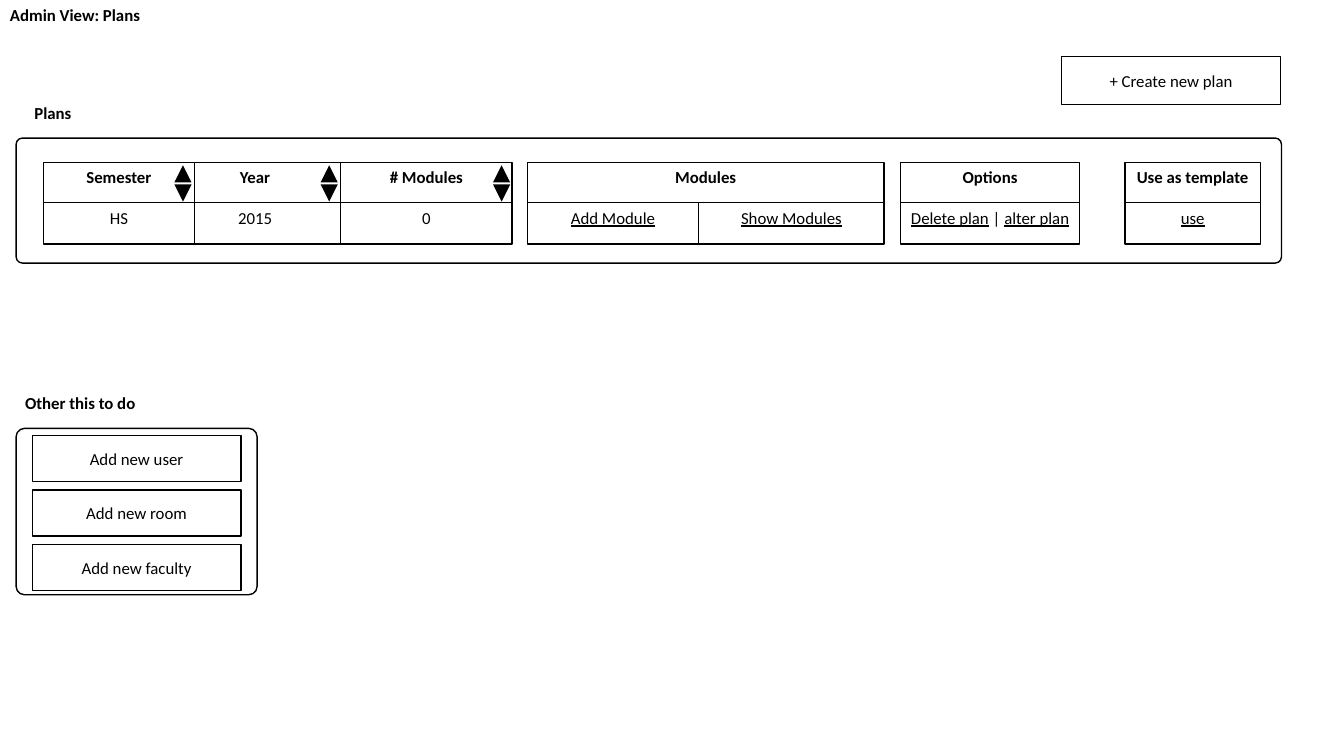
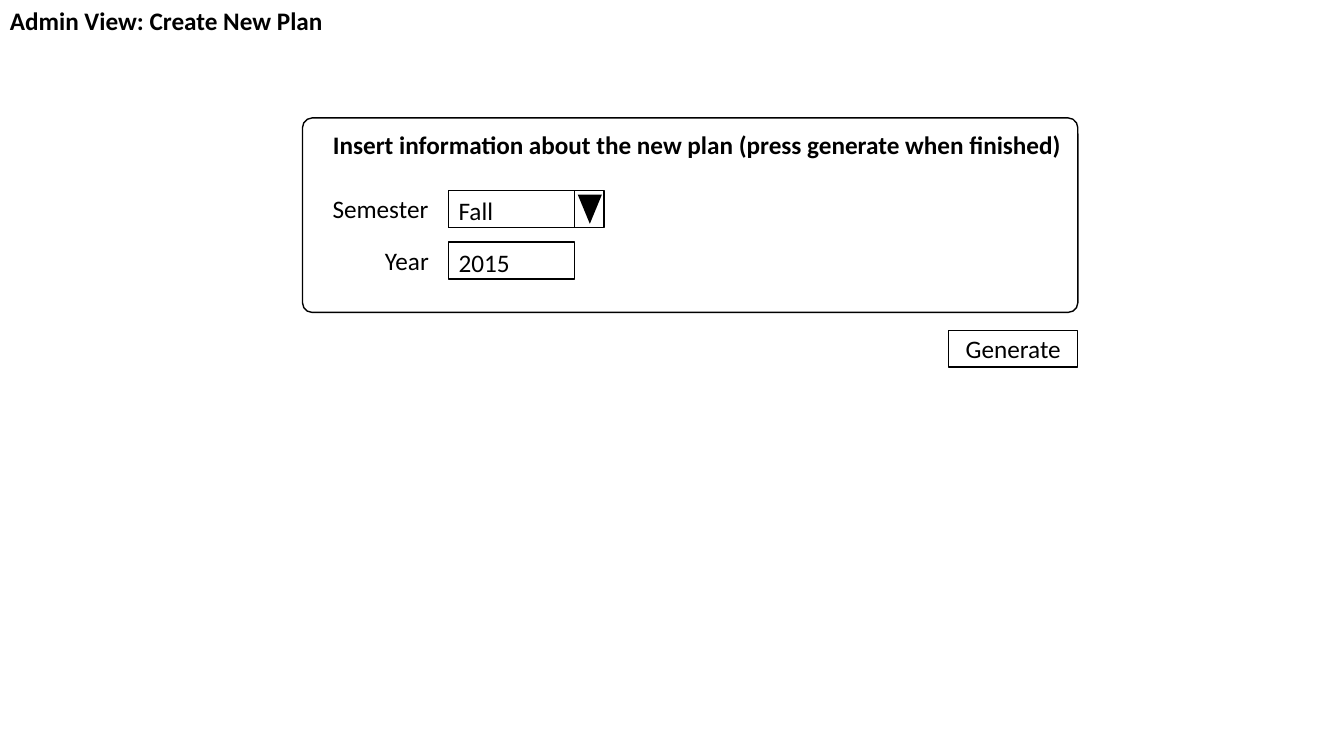
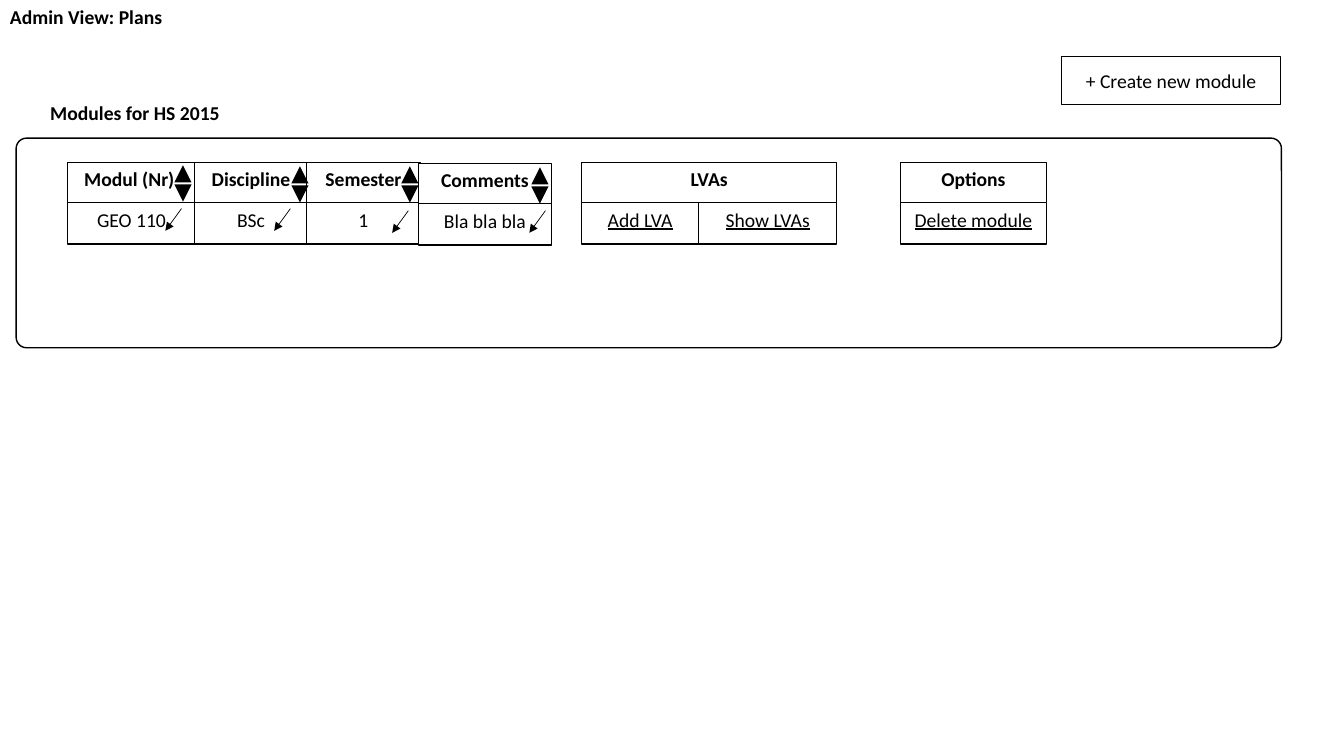
"""Builds three wireframe slides of an admin view for study plans."""
from lxml import etree
from pptx import Presentation
from pptx import util as u
from pptx.dml.color import RGBColor
from pptx.enum import shapes, text
from pptx.oxml import ns

COLOURS = {"ink": "000000", "paper": "FFFFFF"}
FONT = "Calibri"
LEFT, CENTRE = text.PP_ALIGN.LEFT, text.PP_ALIGN.CENTER
TOP, MIDDLE = text.MSO_ANCHOR.TOP, text.MSO_ANCHOR.MIDDLE
KIND = shapes.MSO_SHAPE
HEADER_TOP, CELL_TOP, HEADER_HEIGHT, CELL_HEIGHT = 1.61, 2.01, 0.4, 0.41
BOLD, LINK = {"bold": True}, {"underline": True}


class Wireframe:
    def __init__(self):
        self.presentation = Presentation()
        self.presentation.slide_width = u.Inches(13.33)
        self.presentation.slide_height = u.Inches(7.5)
        self.slide = None
        self.size = 12

    def new_slide(self, title, size, width, height):
        self.slide = self.presentation.slides.add_slide(self.presentation.slide_layouts[6])
        self.size = size
        self.label(title, 0, 0, width, height, **BOLD)

    def colour(self, name):
        return RGBColor.from_string(COLOURS[name])

    def set_text(self, shape, runs, align=CENTRE, anchor=TOP, wrap=True, **formats):
        frame = shape.text_frame
        frame.word_wrap = wrap
        frame.vertical_anchor = anchor
        paragraph = frame.paragraphs[0]
        paragraph.alignment = align
        if isinstance(runs, str):
            runs = [(runs, formats)]
        for words, run_formats in runs:
            run = paragraph.add_run()
            run.text = words
            run.font.color.rgb = self.colour("ink")
            values = {"name": FONT, "size": u.Pt(self.size), **run_formats}
            for key, value in values.items():
                setattr(run.font, key, value)

    def shape(self, kind, left, top, width, height, fill=None, outline=True, parent=None):
        shape = (parent or self.slide).shapes.add_shape(
            kind, u.Inches(left), u.Inches(top), u.Inches(width), u.Inches(height))
        shape.shadow.inherit = False
        if fill:
            shape.fill.solid()
            shape.fill.fore_color.rgb = self.colour(fill)
        else:
            shape.fill.background()
        if outline:
            shape.line.color.rgb = self.colour("ink")
            shape.line.width = u.Pt(1)
        else:
            shape.line.fill.background()
        return shape

    def label(self, words, left, top, width, height, align=LEFT, wrap=False, **formats):
        box = self.slide.shapes.add_textbox(
            u.Inches(left), u.Inches(top), u.Inches(width), u.Inches(height))
        self.set_text(box, words, align, wrap=wrap, **formats)
        box.text_frame.auto_size = text.MSO_AUTO_SIZE.SHAPE_TO_FIT_TEXT

    def panel(self, left, top, width, height):
        panel = self.shape(KIND.ROUNDED_RECTANGLE, left, top, width, height)
        panel.adjustments[0] = 0.05

    def button(self, words, left, top, width, height):
        button = self.shape(KIND.RECTANGLE, left, top, width, height)
        self.set_text(button, words, anchor=MIDDLE)

    def field(self, words, left, top, width, height, align=CENTRE, parent=None, **formats):
        field = self.shape(KIND.RECTANGLE, left, top, width, height, "paper", parent=parent)
        self.set_text(field, words, align, **formats)

    def column(self, header, left, cells, top=HEADER_TOP, **formats):
        width = sum(cell_width for _, cell_width in cells)
        self.field(header, left, top, width, HEADER_HEIGHT, **BOLD)
        for words, cell_width in cells:
            self.field(words, left, top + CELL_TOP - HEADER_TOP, cell_width, CELL_HEIGHT,
                       **formats)
            left += cell_width

    def triangle(self, left, top, width, height, rotation, parent):
        triangle = self.shape(KIND.ISOSCELES_TRIANGLE, left, top, width, height, "ink",
                              False, parent)
        triangle.rotation = rotation

    def sorter(self, left, top):
        group = self.slide.shapes.add_group_shape()
        for offset, rotation in ((0, 0), (0.19, 180)):
            self.triangle(left, top + offset, 0.17, 0.17, rotation, group)

    def dropdown(self, words, left, top, width, height):
        group = self.slide.shapes.add_group_shape()
        self.triangle(left + width + 0.03, top + 0.04, 0.24, 0.29, 180, group)
        self.field(words, left, top, width, height, LEFT, group)
        self.shape(KIND.RECTANGLE, left, top, width + 0.29, height, parent=group)

    def edit_arrow(self, left, top):
        arrow = self.slide.shapes.add_connector(
            shapes.MSO_CONNECTOR.STRAIGHT, u.Inches(left), u.Inches(top),
            u.Inches(left - 0.16), u.Inches(top + 0.22))
        arrow.line.color.rgb = self.colour("ink")
        arrow.line.width = u.Pt(0.5)
        properties = arrow._element.spPr
        line = properties.find(ns.qn("a:ln"))
        etree.SubElement(line, ns.qn("a:tailEnd"), type="triangle")
        etree.SubElement(properties, ns.qn("a:effectLst"))


def plans(view):
    view.new_slide("Admin View: Plans", 12, 1.51, 0.3)
    view.panel(0.16, 1.37, 12.55, 1.24)
    view.label("Plans", 0.24, 0.97, 0.57, 0.3, CENTRE, **BOLD)
    for header, value, left, width in (("Year", "2015", 1.68, 1.7), ("Semester", "HS", 0.43, 1.5),
                                       ("# Modules", "0", 3.38, 1.7)):
        view.column(header, left, [(value, width)])
    view.column("Modules", 5.23, [("Add Module", 1.7), ("Show Modules", 1.84)], **LINK)
    options = [("Delete plan", LINK), (" | ", {}), ("alter plan", LINK)]
    view.column("Options", 8.93, [(options, 1.78)])
    view.column("Use as template", 11.16, [("use", 1.34)], **LINK)
    for left in (1.73, 3.18, 4.89):
        view.sorter(left, 1.64)
    view.button("+ Create new plan", 10.53, 0.56, 2.17, 0.48)
    view.label("Other this to do", 0.15, 3.85, 1.31, 0.3, **BOLD)
    view.panel(0.16, 4.25, 2.39, 1.65)
    for row, item in enumerate(("user", "room", "faculty")):
        view.button(f"Add new {item}", 0.32, 4.32 + row * 0.54, 2.07, 0.46)


def create_plan(view):
    view.new_slide("Admin View: Create New Plan", 18, 3.33, 0.4)
    view.panel(3, 1.17, 7.69, 1.93)
    view.label("Insert information about the new plan (press generate when finished)",
               2, 1.23, 9.83, 0.4, CENTRE, True, **BOLD)
    view.label("Semester", 3.2, 1.87, 1.16, 0.4)
    view.dropdown("Fall", 4.45, 1.89, 1.25, 0.37)
    view.label("Year", 3.72, 2.38, 0.64, 0.4)
    view.field("2015", 4.45, 2.4, 1.25, 0.37, LEFT)
    view.button("Generate", 9.41, 3.28, 1.28, 0.36)


def modules(view):
    view.new_slide("Admin View: Plans", 14, 1.72, 0.34)
    view.panel(0.16, 1.37, 12.55, 2.08)
    view.label("Modules for HS 2015", 0.39, 0.95, 1.9, 0.34, CENTRE, **BOLD)
    for header, value, left, width, top in (
            ("Modul (Nr) ", "GEO 110", 0.67, 1.27, HEADER_TOP),
            ("Discipline", "BSc", 1.93, 1.12, HEADER_TOP),
            ("Semester", "1", 3.04, 1.13, HEADER_TOP),
            ("Comments", "Bla bla bla", 4.15, 1.32, 1.62)):
        view.column(header, left, [(value, width)], top)
    view.column("LVAs", 5.77, [("Add LVA", 1.16), ("Show LVAs", 1.37)], **LINK)
    view.column("Options", 8.93, [("Delete module", 1.45)], **LINK)
    for left, top in ((1.73, 1.64), (2.89, 1.65), (3.98, 1.65), (5.27, 1.66)):
        view.sorter(left, top)
    for left, top in ((1.8, 2.07), (2.88, 2.07), (4.05, 2.09), (5.41, 2.09)):
        view.edit_arrow(left, top)
    view.button("+ Create new module", 10.53, 0.56, 2.17, 0.48)


def main():
    view = Wireframe()
    for build in (plans, create_plan, modules):
        build(view)
    view.presentation.save("out.pptx")


if __name__ == "__main__":
    main()
